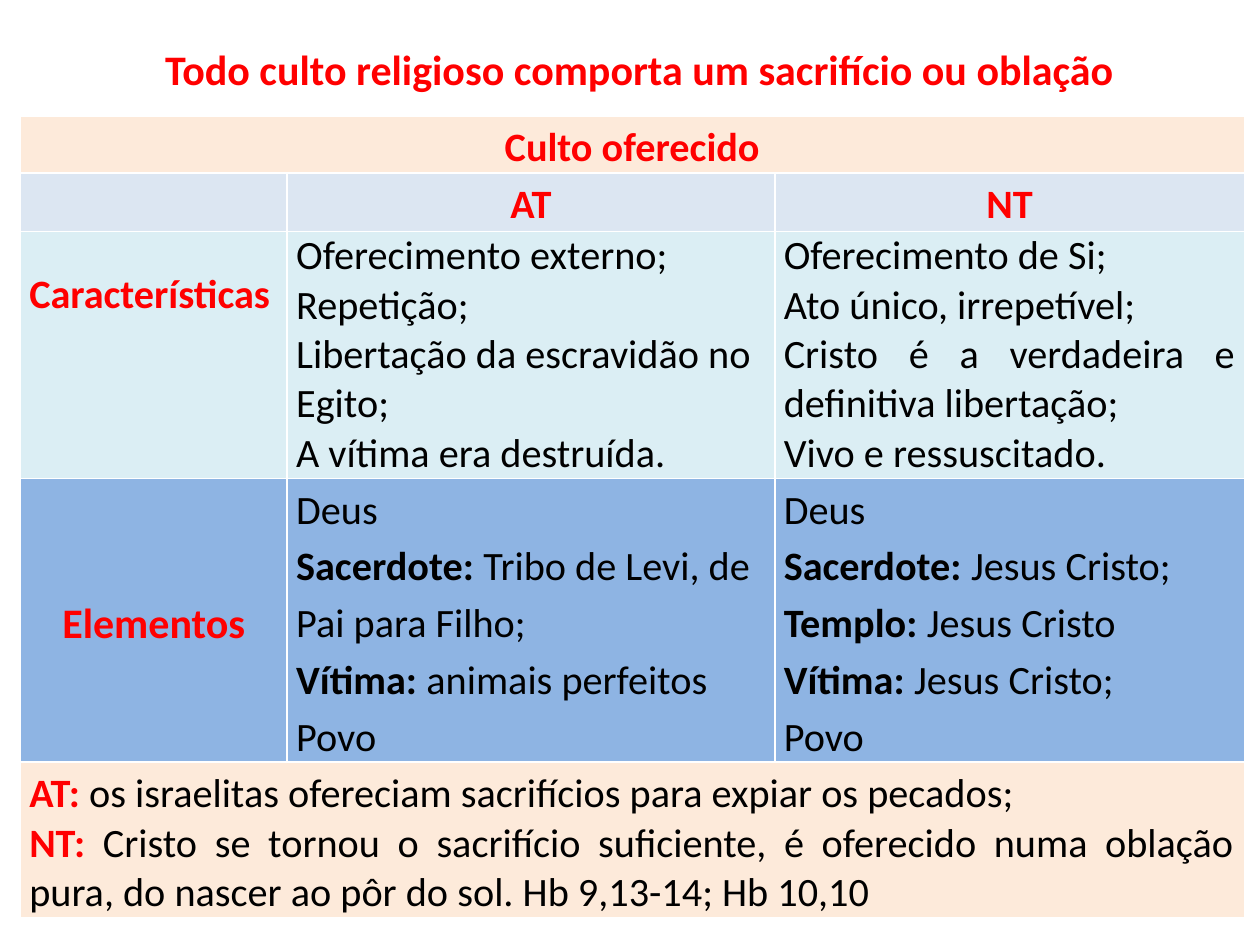
from pptx import Presentation
from pptx.dml.color import RGBColor
from pptx.enum import text
from pptx.util import Cm, Pt

RED = RGBColor(0xFF, 0x00, 0x00)
BLACK = RGBColor(0x00, 0x00, 0x00)
PEACH = RGBColor(0xFD, 0xEA, 0xDA)
PALE_BLUE = RGBColor(0xDC, 0xE6, 0xF2)
AQUA = RGBColor(0xDB, 0xEE, 0xF4)
BLUE = RGBColor(0x8E, 0xB4, 0xE3)

LEFT, CENTER, JUSTIFY = (text.PP_ALIGN.LEFT, text.PP_ALIGN.CENTER,
                         text.PP_ALIGN.JUSTIFY)
HEADING = {"size": Pt(23), "bold": True, "name": "Calibri"}
BIG_HEADING = {**HEADING, "size": Pt(24)}
BODY = {**HEADING, "bold": False}


def add_run(paragraph, words, style, color):
    run = paragraph.add_run()
    run.text = words
    for key, value in style.items():
        setattr(run.font, key, value)
    run.font.color.rgb = color


def fill_cell(cell, lines, align=LEFT, spacing=1.0):
    """Write lines, each a list of (words, style, color) runs."""
    cell.margin_left = cell.margin_right = Cm(0.18)
    cell.margin_top = cell.margin_bottom = 0
    for number, runs in enumerate(lines):
        frame = cell.text_frame
        paragraph = frame.add_paragraph() if number else frame.paragraphs[0]
        paragraph.alignment = align
        paragraph.line_spacing = spacing
        for words, style, color in runs:
            add_run(paragraph, words, style, color)


prs = Presentation()
prs.slide_width, prs.slide_height = Cm(25.4), Cm(19.05)
slide = prs.slides.add_slide(prs.slide_layouts[5])

# Title
title = slide.shapes.title
title.left, title.top, title.width, title.height = (
    Cm(0.89), Cm(0.74), Cm(24), Cm(1.27))
title.text_frame.vertical_anchor = text.MSO_ANCHOR.MIDDLE
heading = title.text_frame.paragraphs[0]
heading.alignment = CENTER
add_run(heading, "Todo culto religioso comporta um sacrifício ou oblação",
        BIG_HEADING, RED)

# Table grid and row colours; the default style draws the white rules
widths = [5.38, 9.83, 9.47]
heights = [1.09, 1.18, 4.85, 5.59, 3.07]
fills = [PEACH, PALE_BLUE, AQUA, BLUE, PEACH]
worship = slide.shapes.add_table(
    len(heights), len(widths), Cm(0.41), Cm(2.34),
    Cm(sum(widths)), Cm(sum(heights))).table
for column, width in zip(worship.columns, widths):
    column.width = Cm(width)
for row, height, fill in zip(worship.rows, heights, fills):
    row.height = Cm(height)
    for cell in row.cells:
        cell.fill.solid()
        cell.fill.fore_color.rgb = fill
for full_row in (0, 4):
    worship.cell(full_row, 0).merge(worship.cell(full_row, 2))

# Headings
for row, col, words in [(0, 0, "Culto oferecido"), (1, 1, "AT"), (1, 2, "NT")]:
    fill_cell(worship.cell(row, col), [[(words, HEADING, RED)]], CENTER, 1.15)

# Row labels
features = worship.cell(2, 0)
fill_cell(features, [[("Características", HEADING, RED)]])
features.margin_top = Cm(0.77)
elements = worship.cell(3, 0)
fill_cell(elements, [[("Elementos", BIG_HEADING, RED)]], CENTER, 1.15)
elements.vertical_anchor = text.MSO_ANCHOR.MIDDLE

# Characteristics of each covenant
characteristics = [
    (1, LEFT, ["Oferecimento externo;", "Repetição;",
               "Libertação da escravidão no Egito;",
               "A vítima era destruída."]),
    (2, JUSTIFY, ["Oferecimento de Si;", "Ato único, irrepetível;",
                  "Cristo é a verdadeira e definitiva libertação;",
                  "Vivo e ressuscitado."]),
]
for col, align, lines in characteristics:
    fill_cell(worship.cell(2, col),
              [[(line, BODY, BLACK)] for line in lines], align)

# Elements of each covenant, between God and people
roles = [
    (1, [("Sacerdote:", " Tribo de Levi, de Pai para Filho;"),
         ("Vítima:", " animais perfeitos")]),
    (2, [("Sacerdote:", " Jesus Cristo;"), ("Templo:", " Jesus Cristo"),
         ("Vítima:", " Jesus Cristo;")]),
]
for col, pairs in roles:
    lines = [[(role, HEADING, BLACK), (who, BODY, BLACK)]
             for role, who in pairs]
    fill_cell(worship.cell(3, col),
              [[("Deus", BODY, BLACK)], *lines, [("Povo", BODY, BLACK)]],
              spacing=1.15)

# Summary
summary = [
    ("AT:", " os israelitas ofereciam sacrifícios para expiar os pecados;"),
    ("NT:", " Cristo se tornou o sacrifício suficiente, é oferecido numa "
            "oblação pura, do nascer ao pôr do sol. Hb 9,13-14; Hb 10,10"),
]
conclusion = worship.cell(4, 0)
fill_cell(conclusion, [[(era, HEADING, RED), (words, BODY, BLACK)]
                       for era, words in summary], JUSTIFY)
conclusion.text_frame.paragraphs[0].line_spacing = 1.15

prs.save("out.pptx")
